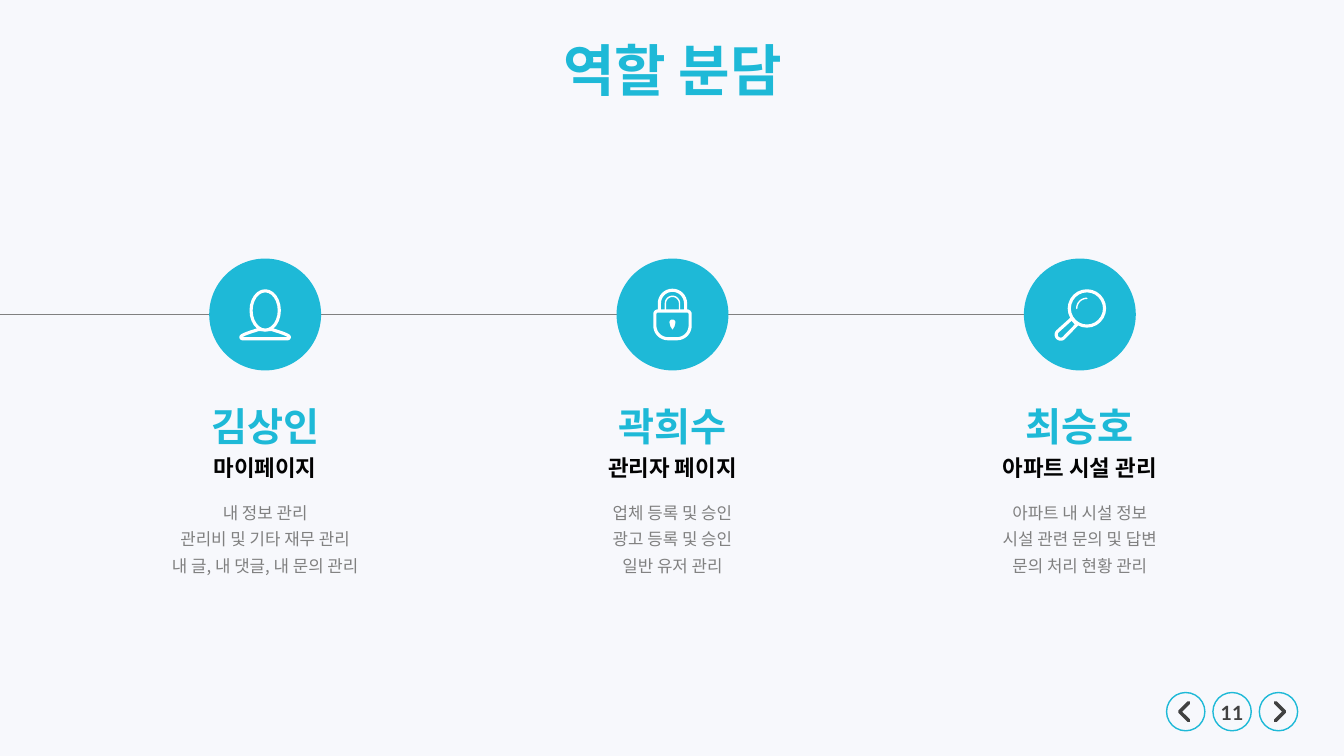
from math import cos, pi, sin

from lxml.etree import SubElement
from pptx import Presentation
from pptx.dml.color import RGBColor
from pptx.enum.shapes import MSO_CONNECTOR as CONNECTOR, MSO_SHAPE as SHAPE
from pptx.enum.text import MSO_ANCHOR as ANCHOR, MSO_AUTO_SIZE as AUTO_SIZE, PP_ALIGN as ALIGN
from pptx.oxml.ns import qn
from pptx.util import Inches, Pt

BACKGROUND = RGBColor(0xF7, 0xF8, 0xFC)
CYAN = RGBColor(0x1E, 0xB9, 0xD7)
GRAY = RGBColor(0x80, 0x80, 0x80)
DARK = RGBColor(0x41, 0x41, 0x41)
BLACK = RGBColor(0x02, 0x02, 0x02)
WHITE = RGBColor(0xFF, 0xFF, 0xFF)
KOREAN = "Noto Sans CJK KR"
DISC = 1.11
STROKE = 2.25


def paint(shape, fill=None, line=None, weight=1):
    shape.shadow.inherit = False
    if fill is None:
        shape.fill.background()
    else:
        shape.fill.solid()
        shape.fill.fore_color.rgb = fill
    if line is None:
        shape.line.fill.background()
    else:
        shape.line.color.rgb = line
        shape.line.width = Pt(weight)


def add_oval(slide, cx, cy, width, height, **style):
    """Place an ellipse by its centre."""
    oval = slide.shapes.add_shape(SHAPE.OVAL, Inches(cx - width / 2), Inches(cy - height / 2),
                                  Inches(width), Inches(height))
    paint(oval, **style)


def add_outline(slide, cx, cy, points, closed=False, **style):
    """Draw a round-ended outline through points given relative to a centre."""
    (x, y), *rest = [(Inches(cx + dx), Inches(cy + dy)) for dx, dy in points]
    builder = slide.shapes.build_freeform(x, y, scale=1.0)
    builder.add_line_segments(rest, close=closed)
    outline = builder.convert_to_shape()
    paint(outline, **style)
    if style.get("line") is not None:
        stroke = outline.line._get_or_add_ln()
        stroke.set("cap", "rnd")
        SubElement(stroke, qn("a:round"))


def arc(cx, cy, radius, start, end, steps=16):
    """List points on an arc; degrees run clockwise from the right."""
    angles = [(start + (end - start) * i / steps) * pi / 180 for i in range(steps + 1)]
    return [(cx + radius * cos(a), cy + radius * sin(a)) for a in angles]


def curve(p0, p1, p2, p3, steps=12):
    """List points on a cubic Bezier curve."""
    return [tuple((1 - t) ** 3 * a + 3 * t * (1 - t) ** 2 * b + 3 * t * t * (1 - t) * c + t ** 3 * d
                  for a, b, c, d in zip(p0, p1, p2, p3))
            for t in (i / steps for i in range(steps + 1))]


def add_text(slide, cx, top, width, height, lines, size, color, font=KOREAN, bold=True,
             wrap=False, spacing=None, anchor=ANCHOR.TOP):
    """Add centred lines of text in a box that is centred on cx."""
    box = slide.shapes.add_textbox(Inches(cx - width / 2), Inches(top), Inches(width), Inches(height))
    frame = box.text_frame
    frame.word_wrap = wrap
    frame.auto_size = AUTO_SIZE.SHAPE_TO_FIT_TEXT
    frame.vertical_anchor = anchor
    for i, line in enumerate(lines):
        paragraph = frame.paragraphs[0] if i == 0 else frame.add_paragraph()
        paragraph.alignment = ALIGN.CENTER
        if spacing:
            paragraph.line_spacing = spacing
        run = paragraph.add_run()
        run.text = line
        run.font.size = Pt(size)
        run.font.bold = bold
        run.font.color.rgb = color
        run.font.name = font
        SubElement(run.font._element, qn("a:ea")).set("typeface", font)


def draw_person(slide, cx, cy):
    right = curve((0.07, 0.15), (0.13, 0.17), (0.2, 0.19), (0.23, 0.21)) + arc(0.225, 0.225, 0.015, -60, 90, 6)
    left = [(-x, y) for x, y in reversed(right)]
    add_outline(slide, cx, cy, right + left, closed=True, line=WHITE, weight=STROKE)
    add_oval(slide, cx, cy - 0.04, 0.28, 0.39, fill=CYAN, line=WHITE, weight=STROKE)


def draw_lock(slide, cx, cy):
    body = (arc(0.145, -0.005, 0.03, -90, 0, 6) + arc(0.045, 0.11, 0.13, 0, 90)
            + arc(-0.045, 0.11, 0.13, 90, 180) + arc(-0.145, -0.005, 0.03, 180, 270, 6))
    add_outline(slide, cx, cy, body, closed=True, line=WHITE, weight=STROKE)
    for radius, weight in ((0.13, STROKE), (0.07, 1)):
        shackle = [(-radius, -0.04), *arc(0, -0.11, radius, 180, 360), (radius, -0.04)]
        add_outline(slide, cx, cy, shackle, line=WHITE, weight=weight)
    keyhole = arc(0, 0.08, 0.03, 180, 360) + [(0.02, 0.12), (0, 0.15), (-0.02, 0.12)]
    add_outline(slide, cx, cy, keyhole, closed=True, fill=WHITE)


def draw_magnifier(slide, cx, cy):
    lens_x, lens_y = 0.07, -0.06
    handle = [(-0.08, 0.04), *arc(-0.19, 0.2, 0.045, 225, 45), (-0.03, 0.1)]
    add_outline(slide, cx, cy, handle, closed=True, line=WHITE, weight=STROKE)
    add_oval(slide, cx + lens_x, cy + lens_y, 0.35, 0.35, fill=CYAN, line=WHITE, weight=STROKE)
    add_outline(slide, cx, cy, arc(lens_x, lens_y, 0.1, 180, 270), line=WHITE, weight=1)


def draw_timeline(slide, y, centres):
    """Join the discs with lines, the first one from the slide's left edge."""
    starts = [0] + [cx + DISC / 2 for cx in centres[:-1]]
    for start, cx in zip(starts, centres):
        line = slide.shapes.add_connector(CONNECTOR.STRAIGHT, Inches(start), Inches(y),
                                          Inches(cx - DISC / 2), Inches(y))
        line.line.color.rgb = GRAY
        line.line.width = Pt(0.5)
        SubElement(line._element.spPr, qn("a:effectLst"))


def draw_member(slide, cx, cy, member):
    draw_icon, name, role, role_width, tasks = member
    add_oval(slide, cx, cy, DISC, DISC, fill=CYAN)
    draw_icon(slide, cx, cy)
    add_text(slide, cx, cy + 0.82, 1.31, 0.57, [name], 28, CYAN)
    add_text(slide, cx, cy + 1.34, role_width, 0.37, [role], 16, BLACK)
    add_text(slide, cx, cy + 1.76, 3.05, 0.89, tasks, 12, GRAY, bold=False, wrap=True, spacing=1.3)


def draw_page_controls(slide, cx, cy, number):
    pitch = 0.46
    for side in (-1, 0, 1):
        button_x = cx + side * pitch
        add_oval(slide, button_x, cy, 0.38, 0.38, line=CYAN)
        if side:
            chevron = [(side * x, y) for x, y in ((-0.03, -0.09), (0.06, 0), (-0.03, 0.09))]
            add_outline(slide, button_x, cy, chevron, line=DARK, weight=2.5)
    add_text(slide, cx, cy - 0.16, 0.43, 0.34, [number], 14, DARK, font="Lato", anchor=ANCHOR.MIDDLE)


MEMBERS = [
    (draw_person, "김상인", "마이페이지", 1.25,
     ["내 정보 관리", "관리비 및 기타 재무 관리", "내 글, 내 댓글, 내 문의 관리"]),
    (draw_lock, "곽희수", "관리자 페이지", 1.53,
     ["업체 등록 및 승인", "광고 등록 및 승인", "일반 유저 관리"]),
    (draw_magnifier, "최승호", "아파트 시설 관리", 1.8,
     ["아파트 내 시설 정보", "시설 관련 문의 및 답변", "문의 처리 현황 관리"]),
]


def main():
    deck = Presentation()
    deck.slide_width, deck.slide_height = Inches(13.33), Inches(7.5)
    slide = deck.slides.add_slide(deck.slide_layouts[6])
    slide.background.fill.solid()
    slide.background.fill.fore_color.rgb = BACKGROUND

    middle, pitch, timeline_y = 6.67, 4.04, 3.12
    centres = [middle + (i - 1) * pitch for i in range(len(MEMBERS))]
    draw_page_controls(slide, 12.22, 7.06, "11")
    add_text(slide, middle, 0.3, 2.47, 0.77, ["역할 분담"], 40, CYAN)
    draw_timeline(slide, timeline_y, centres)
    for cx, member in zip(centres, MEMBERS):
        draw_member(slide, cx, timeline_y, member)
    deck.save("out.pptx")


if __name__ == "__main__":
    main()
